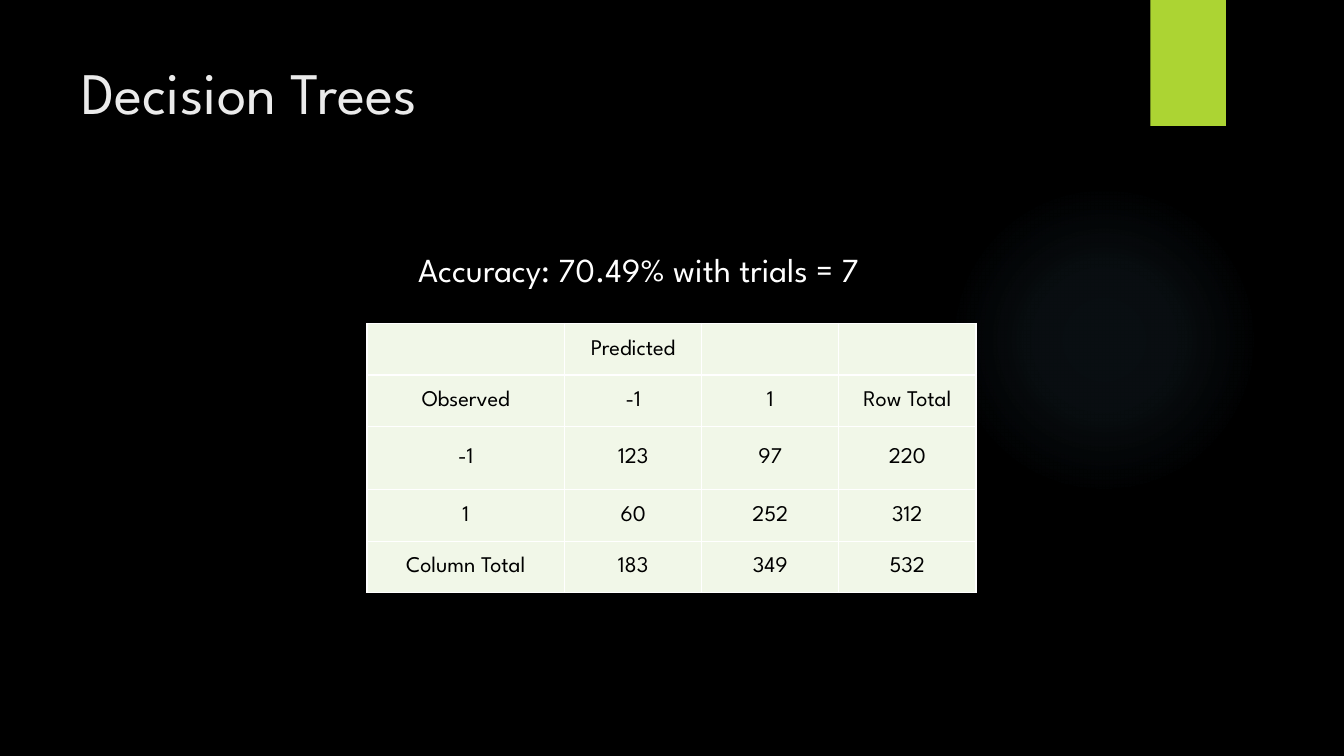
from lxml import etree
from pptx import Presentation
from pptx.dml.color import RGBColor
from pptx.enum.shapes import MSO_SHAPE as SHAPE
from pptx.enum.text import MSO_ANCHOR as ANCHOR, PP_ALIGN as ALIGN
from pptx.oxml import parse_xml
from pptx.oxml.ns import nsdecls, qn
from pptx.util import Inches, Pt

BLACK = RGBColor(0x00, 0x00, 0x00)
WHITE = RGBColor(0xFF, 0xFF, 0xFF)
TITLE_GREY = RGBColor(0xEB, 0xEB, 0xEB)
LIME = RGBColor(0xAC, 0xD4, 0x33)
PALE_GREEN = RGBColor(0xF1, 0xF7, 0xE8)
GLOW_BLUE = RGBColor(0x7A, 0xC4, 0xF0)
FONT = "League Spartan"


def add_text(tf, text, size=16, color=BLACK, align=ALIGN.LEFT):
    tf.word_wrap = True
    p = tf.paragraphs[0]
    p.alignment = align
    r = p.add_run()
    r.text = text
    r.font.name = FONT
    r.font.size = Pt(size)
    r.font.color.rgb = color


prs = Presentation()
prs.slide_width, prs.slide_height = Inches(13.33), Inches(7.5)
s = prs.slides.add_slide(prs.slide_layouts[6])
s.background.fill.solid()
s.background.fill.fore_color.rgb = BLACK

glow = s.shapes.add_shape(SHAPE.OVAL, Inches(9.41), Inches(1.83), Inches(3.08), Inches(3.08))
glow.shadow.inherit = False
glow.line.fill.background()
stops = "".join(
    f'<a:gs pos="{pos * 1000}"><a:srgbClr val="{GLOW_BLUE}"><a:alpha val="{alpha * 1000}"/></a:srgbClr></a:gs>'
    for pos, alpha in [(0, 7), (36, 6), (69, 0)])
glow_fill = parse_xml(
    f'<a:gradFill {nsdecls("a")} rotWithShape="1"><a:gsLst>{stops}</a:gsLst><a:path path="circle">'
    '<a:fillToRect l="50000" t="50000" r="50000" b="50000"/></a:path></a:gradFill>')
glow.element.spPr.find(qn("a:prstGeom")).addnext(glow_fill)

tab = s.shapes.add_shape(SHAPE.RECTANGLE, Inches(11.41), 0, Inches(0.75), Inches(1.25))
tab.shadow.inherit = False
tab.fill.solid()
tab.fill.fore_color.rgb = LIME
tab.line.fill.background()
tab.element.spPr.find(qn("a:effectLst")).append(parse_xml(
    f'<a:outerShdw {nsdecls("a")} blurRad="{Pt(3)}" dist="{Pt(2)}" dir="5400000">'
    f'<a:srgbClr val="{BLACK}"><a:alpha val="45000"/></a:srgbClr></a:outerShdw>'))

title = s.shapes.add_textbox(Inches(0.71), Inches(0.5), Inches(10.29), Inches(1.53))
add_text(title.text_frame, "Decision Trees", size=42, color=TITLE_GREY)

rows = [
    ["", "Predicted", "", ""],
    ["Observed", "-1", "1", "Row Total"],
    ["-1", "123", "97", "220"],
    ["1", "60", "252", "312"],
    ["Column Total", "183", "349", "532"],
]
col_widths = [1.96, 1.36, 1.36, 1.36]
row_heights = [0.51, 0.51, 0.63, 0.51, 0.51]
table = s.shapes.add_table(len(rows), len(col_widths), Inches(3.64), Inches(3.21),
                           Inches(sum(col_widths)), Inches(sum(row_heights))).table
for col, width in zip(table.columns, col_widths):
    col.width = Inches(width)
for row, height, texts in zip(table.rows, row_heights, rows):
    row.height = Inches(height)
    for cell, text in zip(row.cells, texts):
        cell.margin_left = cell.margin_right = cell.margin_top = Inches(0.01)
        cell.margin_bottom = 0
        cell.vertical_anchor = ANCHOR.MIDDLE
        if text:
            add_text(cell.text_frame, text, align=ALIGN.CENTER)
        tcPr = cell._tc.get_or_add_tcPr()
        for side in ("lnL", "lnR", "lnT", "lnB"):
            ln = etree.SubElement(tcPr, qn(f"a:{side}"), w=str(Pt(1)))
            line_fill = etree.SubElement(ln, qn("a:solidFill"))
            etree.SubElement(line_fill, qn("a:srgbClr"), val=str(WHITE))
        cell.fill.solid()
        cell.fill.fore_color.rgb = PALE_GREEN

accuracy = s.shapes.add_textbox(Inches(4.05), Inches(2.42), Inches(5.24), Inches(0.81))
add_text(accuracy.text_frame, "Accuracy: 70.49% with trials = 7", size=24, color=WHITE)

prs.save("out.pptx")
